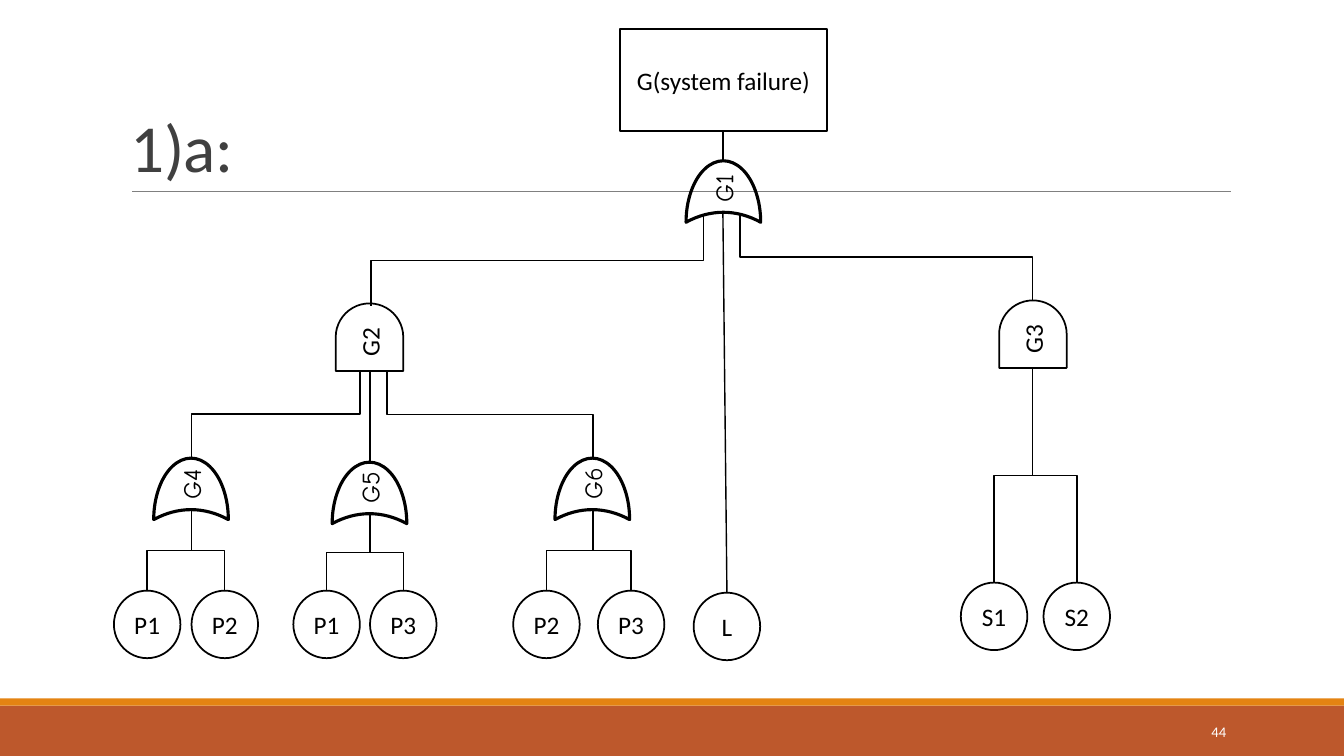
from lxml.etree import SubElement
from pptx import Presentation
from pptx.dml.color import RGBColor
from pptx.enum.shapes import MSO_CONNECTOR as CONN, MSO_SHAPE as SHAPE
from pptx.enum.text import MSO_ANCHOR as ANCHOR, PP_ALIGN as ALIGN
from pptx.oxml.ns import qn
from pptx.util import Inches, Pt


def color(value):
    return RGBColor.from_string(value)


class FaultTree:
    """Draws the parts of the tree on one slide in one style."""
    ink, paper, font, size = "000000", "FFFFFF", "Calibri", 18
    gate_w, moon_w, moon_h, event_w, event_h = 0.67, 0.61, 0.74, 0.66, 0.67

    def __init__(self, slide):
        self.shapes = slide.shapes

    def label(self, sp, text, align=ALIGN.CENTER, anchor=ANCHOR.MIDDLE, frame=None, **font):
        tf = sp.text_frame
        for name, value in {"word_wrap": True, "vertical_anchor": anchor, **(frame or {})}.items():
            setattr(tf, name, value)
        p = tf.paragraphs[0]
        p.alignment = align
        r = p.add_run()
        r.text = text
        style = {"name": self.font, "size": Pt(self.size), **font}
        r.font.color.rgb = color(style.pop("ink", self.ink))
        for name, value in style.items():
            setattr(r.font, name, value)
        return p

    def text(self, text, x, y, w, h, **style):
        return self.label(self.shapes.add_textbox(*map(Inches, (x, y, w, h))), text, **style)

    def shape(self, kind, x, y, w, h, fill=None, line=None):
        sp = self.shapes.add_shape(kind, *map(Inches, (x, y, w, h)))
        sp.shadow.inherit = False
        if fill:
            sp.fill.solid()
            sp.fill.fore_color.rgb = color(fill)
        else:
            sp.fill.background()
        if line:
            sp.line.color.rgb = color(self.ink)
            sp.line.width = Pt(line)
        else:
            sp.line.fill.background()
        return sp

    def node(self, kind, text, x, y, w, h):
        sp = self.shape(kind, x, y, w, h, self.paper, 1.25)
        margins = dict.fromkeys(("margin_left", "margin_right", "margin_top", "margin_bottom"), 0)
        self.label(sp, text, frame=margins)
        return sp

    def and_gate(self, text, x, y):
        sp = self.node(SHAPE.FLOWCHART_DELAY, text, x, y, self.gate_w, self.gate_w)
        sp.rotation = 270

    def or_gate(self, text, x, y):
        sp = self.shape(SHAPE.MOON, x, y, self.moon_w, self.moon_h, line=2.25)
        sp.adjustments[0] = 0.838
        sp.rotation = 270
        sp._element.spPr.find(qn("a:xfrm")).set("flipH", "1")
        self.label(sp, text, ALIGN.LEFT, frame={"word_wrap": False}, name="Comic Neue")

    def event(self, text, x, y):
        self.node(SHAPE.FLOWCHART_CONNECTOR, text, x, y, self.event_w, self.event_h)

    def line(self, x1, y1, x2, y2, kind=CONN.STRAIGHT, ink=ink, width=1):
        cxn = self.shapes.add_connector(kind, *map(Inches, (x1, y1, x2, y2)))
        cxn.line.color.rgb = color(ink)
        cxn.line.width = Pt(width)
        SubElement(cxn._element.spPr, qn("a:effectLst"))
        return cxn

    def branch(self, x1, y1, x2, y2):
        """Elbow that leaves its upper end downwards: a sideways elbow turned by 90 degrees."""
        cx, cy = (x1 + x2) / 2, (y1 + y2) / 2
        dx, dy = (x2 - x1) / 2, (y2 - y1) / 2
        cxn = self.line(cx - dy, cy + dx, cx + dy, cy - dx, CONN.ELBOW)
        cxn._element.spPr.find(qn("a:xfrm")).set("rot", "5400000")


def main():
    prs = Presentation()
    prs.slide_width, prs.slide_height = Inches(13.33), Inches(7.5)
    tree = FaultTree(prs.slides.add_slide(prs.slide_layouts[6]))

    tree.shape(SHAPE.RECTANGLE, 0, 7, 13.33, 0.5, "BD582C")
    tree.shape(SHAPE.RECTANGLE, 0, 6.93, 13.33, 0.07, "E48312")
    tree.line(1.31, 1.9, 12.21, 1.9, ink="808080", width=0.5)
    title = tree.text("1)a:", 1.2, 0.31, 11, 1.59, align=ALIGN.LEFT, anchor=ANCHOR.BOTTOM,
                      size=Pt(48), ink="404040")
    title.line_spacing = 0.85
    title.runs[0].font._element.set("spc", "-50")
    tree.text("44", 10.83, 7.06, 1.43, 0.4, align=ALIGN.RIGHT, size=Pt(10.5), ink="FFFFFF")

    for name, x, y in (("G1", 6.87, 1.53), ("G4", 1.59, 4.48),
                       ("G5", 3.36, 4.52), ("G6", 5.57, 4.48)):
        tree.or_gate(name, x, y)
    for name, x, y in (("G2", 3.33, 3.01), ("G3", 9.91, 2.98)):
        tree.and_gate(name, x, y)

    for ends in ((6.98, 2.13, 3.68, 3.04), (7.34, 2.12, 10.24, 2.98),
                 (3.57, 3.68, 1.9, 4.54), (3.84, 3.68, 5.88, 4.54)):
        tree.branch(*ends)
    tree.line(3.67, 3.68, 3.67, 4.58)

    # Gate outlet, top of its events, then each event with its left edge
    for gate_x, gate_y, top, events in (
            (1.9, 5.06, 5.86, (("P1", 1.13), ("P2", 1.9))),
            (3.67, 5.1, 5.86, (("P1", 2.91), ("P3", 3.67))),
            (5.88, 5.06, 5.86, (("P2", 5.09), ("P3", 5.93))),
            (10.24, 3.65, 5.78, (("S1", 9.53), ("S2", 10.35)))):
        for name, x in events:
            tree.event(name, x, top)
            tree.branch(gate_x, gate_y, x + tree.event_w / 2, top)

    tree.event("L", 6.88, 5.88)
    tree.node(SHAPE.RECTANGLE, "G(system failure)", 6.15, 0.29, 2.05, 1.01)
    tree.line(7.17, 1.3, 7.17, 1.59)
    tree.line(7.17, 2.11, 7.21, 5.88)
    prs.save("out.pptx")


if __name__ == "__main__":
    main()
